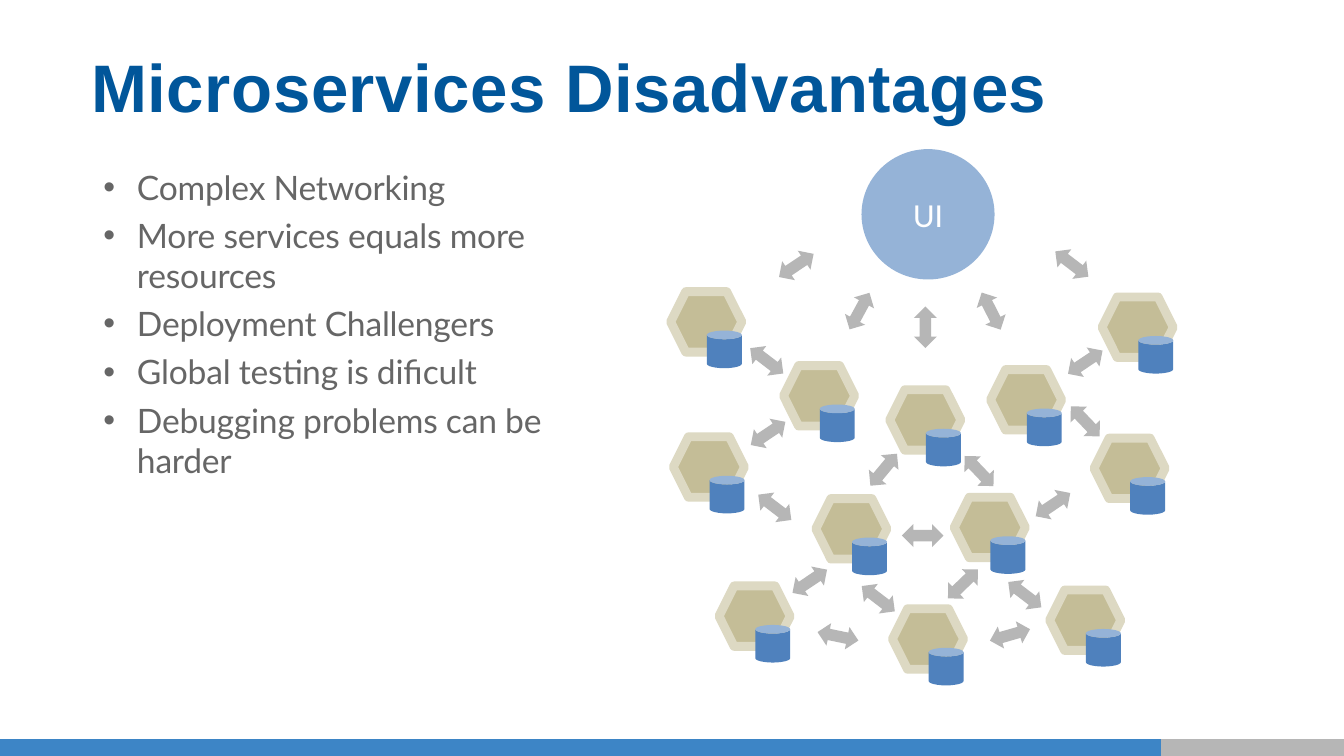
from lxml.etree import SubElement
from pptx import Presentation
from pptx.dml.color import RGBColor
from pptx.enum.shapes import MSO_SHAPE
from pptx.enum.text import MSO_ANCHOR, PP_ALIGN
from pptx.oxml.ns import qn
from pptx.util import Inches, Pt

COLORS = {
    "title": "01569A", "body": "666666", "bar": "3D85C6", "gray": "B6B6B6",
    "circle": "95B3D7", "hex": "C4BD97", "rim": "DDD9C3", "can": "4F81BD",
    "white": "FFFFFF",
}
TITLE = {"name": "Arial", "size": Pt(36), "bold": True}
BODY = {"name": "Lato", "size": Pt(18)}
LABEL = {"name": "Calibri", "size": Pt(18)}
FRAME = {
    "word_wrap": True, "margin_left": 0, "margin_right": 0,
    "margin_top": Inches(0.01), "margin_bottom": 0,
}
POINTS = [
    "Complex Networking",
    "More services equals more resources",
    "Deployment Challengers",
    "Global testing is dificult",
    "Debugging problems can be harder",
]
NODES = [
    (4.99, 2.17), (5.83, 2.72), (7.37, 2.75), (8.2, 2.21),
    (6.62, 2.9), (5.01, 3.25), (8.14, 3.26), (6.07, 3.71),
    (7.1, 3.7), (5.35, 4.36), (7.81, 4.39), (6.64, 4.53),
]
ARROWS = [
    (6.73, 2.35, 90), (6.24, 2.23, 118.5), (7.22, 2.23, 62.9),
    (5.77, 1.89, 146.1), (7.82, 1.88, 37.4), (7.92, 2.61, 146.1),
    (5.55, 2.6, 37.4), (7.68, 3.67, 146.1), (5.61, 3.69, 37.4),
    (7.47, 4.34, 37.4), (5.87, 4.24, 146.1), (6.42, 3.41, 129.7),
    (7.13, 3.42, 226.3), (5.56, 3.14, 146.1), (7.92, 3.05, 226.3),
    (7.01, 4.26, 136.1), (6.38, 4.37, 37.4), (6.08, 4.65, 11.7),
    (7.36, 4.64, 344), (6.71, 3.9, 180),
]


def tint(color):
    """Return the named colour."""
    return RGBColor.from_string(COLORS[color])


def apply(target, values):
    """Set each format value on the target."""
    for name, value in values.items():
        setattr(target, name, value)


def add_run(para, text, style, color, gap=0):
    """Add styled text, with letter spacing in hundredths of a point."""
    run = para.add_run()
    run.text = text
    apply(run.font, style)
    run.font.color.rgb = tint(color)
    if gap:
        run.font._element.set("spc", str(gap))


def add_box(slide, *place):
    """Add a text box and return its frame."""
    frame = slide.shapes.add_textbox(*map(Inches, place)).text_frame
    apply(frame, FRAME)
    return frame


def add_form(slide, kind, place, fill, rim=None):
    """Add a filled preset shape, with a rim if one is named."""
    shape = slide.shapes.add_shape(kind, *map(Inches, place))
    shape.shadow.inherit = False
    shape.fill.solid()
    shape.fill.fore_color.rgb = tint(fill)
    if rim:
        shape.line.color.rgb = tint(rim)
        shape.line.width = Pt(4.75)
    else:
        shape.line.fill.background()
    return shape


def add_title(slide):
    """Add the heading."""
    para = add_box(slide, 0.67, 0.33, 7.44, 0.62).paragraphs[0]
    para._p.get_or_add_pPr().set("marL", str(Inches(0.01)))
    add_run(para, "Microservices Disadvantages", TITLE, "title", 30)


def add_list(slide):
    """Add the bulleted points."""
    frame = add_box(slide, 0.76, 1.23, 3.4, 2.36)
    for index, text in enumerate(POINTS):
        para = frame.add_paragraph() if index else frame.paragraphs[0]
        props = para._p.get_or_add_pPr()
        props.set("marL", str(Inches(0.26)))
        props.set("indent", str(Inches(-0.25)))
        SubElement(props, qn("a:buFont"), typeface="Arial")
        SubElement(props, qn("a:buChar"), char="•")
        tabs = SubElement(props, qn("a:tabLst"))
        SubElement(tabs, qn("a:tab"), pos=str(Inches(0.26)), algn="l")
        para.space_before = Pt(4.2 if index else 0)
        add_run(para, text, BODY, "body", -10)


def add_node(slide, left, top):
    """Add a service hexagon with its data store."""
    add_form(slide, MSO_SHAPE.HEXAGON, (left, top, 0.53, 0.45), "hex", "rim")
    add_form(slide, MSO_SHAPE.CAN, (left + 0.27, top + 0.29, 0.26, 0.28), "can")


def add_arrow(slide, left, top, angle):
    """Add a turned two-way arrow."""
    place = (left, top, 0.31, 0.17)
    arrow = add_form(slide, MSO_SHAPE.LEFT_RIGHT_ARROW, place, "gray")
    arrow.rotation = angle


def add_hub(slide):
    """Add the UI circle."""
    hub = add_form(slide, MSO_SHAPE.OVAL, (6.41, 1.11, 0.99, 0.97), "circle")
    frame = hub.text_frame
    apply(frame, {**FRAME, "margin_top": 0, "vertical_anchor": MSO_ANCHOR.MIDDLE})
    para = frame.paragraphs[0]
    para.alignment = PP_ALIGN.CENTER
    add_run(para, "UI", LABEL, "white")


def main():
    """Build the slide and save it."""
    deck = Presentation()
    wide = Inches(10)
    apply(deck, {"slide_width": wide, "slide_height": wide * 9 // 16})
    slide = deck.slides.add_slide(deck.slide_layouts[6])
    add_title(slide)
    add_form(slide, MSO_SHAPE.RECTANGLE, (0, 5.5, 8.64, 0.13), "bar")
    add_form(slide, MSO_SHAPE.RECTANGLE, (8.64, 5.5, 1.36, 0.13), "gray")
    add_list(slide)
    add_hub(slide)
    for node in NODES:
        add_node(slide, *node)
    for arrow in ARROWS:
        add_arrow(slide, *arrow)
    deck.save("out.pptx")


if __name__ == "__main__":
    main()
